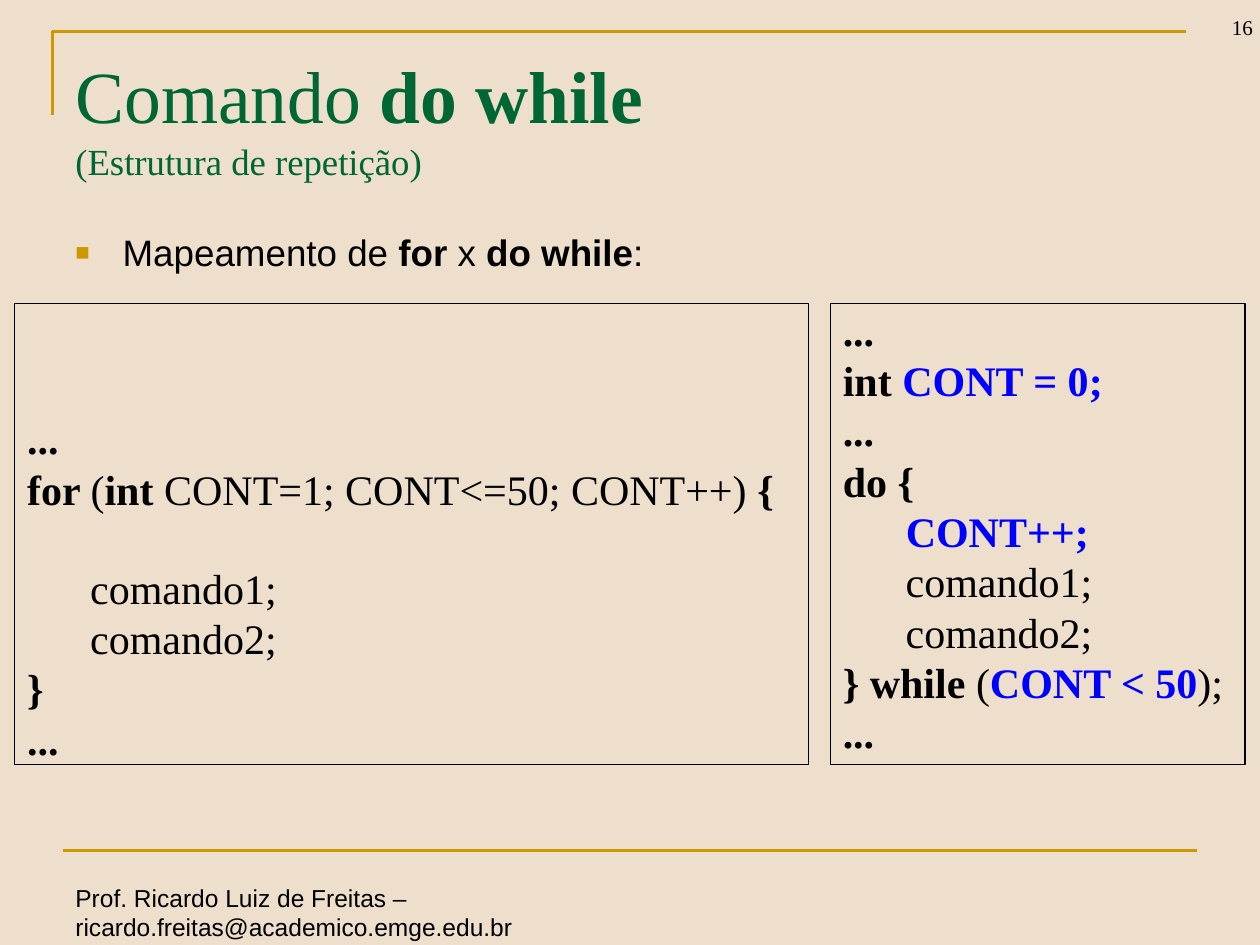
"""Build a slide that maps a for loop to a do while loop."""
from collections import namedtuple
from lxml.etree import SubElement
from pptx import Presentation
from pptx.dml.color import RGBColor
from pptx.enum.shapes import MSO_CONNECTOR, MSO_SHAPE
from pptx.enum.text import MSO_ANCHOR, PP_ALIGN
from pptx.oxml.ns import qn
from pptx.util import Pt

SAND = RGBColor(0xEE, 0xDF, 0xCC)
GOLD = RGBColor(0xCC, 0x99, 0x00)
GREEN = RGBColor(0x00, 0x66, 0x33)
BLACK = RGBColor(0x00, 0x00, 0x00)
BLUE = RGBColor(0x00, 0x00, 0xFF)
SERIF, SANS = "Times New Roman", "Arial"
CODE_SIZE, CODE_GAP, CODE_PITCH = 24, 5.7, 27.8

Piece = namedtuple("Piece", "text bold color size", defaults=(False, None, None))


def bold(text, color=None):
    return Piece(text, True, color)


class SlideBuilder:
    def __init__(self, slide):
        self.shapes = slide.shapes
        slide.background.fill.solid()
        slide.background.fill.fore_color.rgb = SAND

    def add_runs(self, paragraph, pieces, size, font, color):
        paragraph.font.name = font
        paragraph.font.size = Pt(size)
        paragraph.font.color.rgb = color
        for piece in pieces:
            if piece == "\n":
                paragraph.add_line_break()
                continue
            if isinstance(piece, str):
                piece = Piece(piece)
            run = paragraph.add_run()
            run.text = piece.text
            run.font.bold = piece.bold
            if piece.color is not None:
                run.font.color.rgb = piece.color
            if piece.size is not None:
                run.font.size = Pt(piece.size)

    def text(self, box, pieces, size, font, color=BLACK, anchor=MSO_ANCHOR.TOP,
             align=PP_ALIGN.LEFT, bullet=None):
        frame = self.shapes.add_textbox(*map(Pt, box)).text_frame
        frame.word_wrap = True
        frame.vertical_anchor = anchor
        paragraph = frame.paragraphs[0]
        paragraph.alignment = align
        if bullet:
            self.bullet(paragraph, bullet)
        self.add_runs(paragraph, pieces, size, font, color)

    def bullet(self, paragraph, symbol):
        properties = paragraph._p.get_or_add_pPr()
        properties.set("marL", str(Pt(27)))
        properties.set("indent", str(-Pt(27)))
        bullet_color = SubElement(properties, qn("a:buClr"))
        SubElement(bullet_color, qn("a:srgbClr"), val=str(GOLD))
        SubElement(properties, qn("a:buSzPct"), val="65000")
        SubElement(properties, qn("a:buFont"), typeface=SANS)
        SubElement(properties, qn("a:buChar"), char=symbol)

    def rule(self, start, end):
        line = self.shapes.add_connector(MSO_CONNECTOR.STRAIGHT, *map(Pt, start + end))
        line.line.color.rgb = GOLD
        line.line.width = Pt(1.5)
        SubElement(line._element.spPr, qn("a:effectLst"))

    def corner(self, *points):
        start, *rest = [(Pt(x), Pt(y)) for x, y in points]
        outline = self.shapes.build_freeform(*start)
        outline.add_line_segments(rest, close=False)
        bracket = outline.convert_to_shape()
        bracket.shadow.inherit = False
        bracket.fill.background()
        bracket.line.color.rgb = GOLD
        bracket.line.width = Pt(1.5)

    def code(self, left, width, top_margin, lines, skip_before=None):
        panel = self.shapes.add_shape(
            MSO_SHAPE.RECTANGLE, Pt(left), Pt(173.5), Pt(width), Pt(263.5))
        panel.shadow.inherit = False
        panel.fill.background()
        panel.line.color.rgb = BLACK
        panel.line.width = Pt(0.75)
        frame = panel.text_frame
        frame.word_wrap = True
        frame.vertical_anchor = MSO_ANCHOR.TOP
        frame.margin_top, frame.margin_bottom = Pt(top_margin), Pt(0)
        for index, pieces in enumerate(lines):
            paragraph = frame.add_paragraph() if index else frame.paragraphs[0]
            paragraph.alignment = PP_ALIGN.LEFT
            paragraph.line_spacing = 0.8
            if index:
                skipped = CODE_PITCH if index == skip_before else 0
                paragraph.space_before = Pt(CODE_GAP + skipped)
            self.add_runs(paragraph, pieces, CODE_SIZE, SERIF, BLACK)


def main():
    deck = Presentation()
    deck.slide_width, deck.slide_height = Pt(720), Pt(540)
    page = SlideBuilder(deck.slides.add_slide(deck.slide_layouts[6]))

    page.corner((30, 66), (30, 18), (678, 18))
    page.rule((36, 486), (684, 486))
    page.text((36, 501, 455, 40),
              ["Prof. Ricardo Luiz de Freitas – ricardo.freitas@academico.emge.edu.br"],
              14, SANS)
    page.text((669, -10, 54, 36), ["16"], 12, SERIF,
              anchor=MSO_ANCHOR.BOTTOM, align=PP_ALIGN.RIGHT)
    page.text((36, 21.5, 648, 90),
              ["Comando ", bold("do while"), "\n",
               Piece("(Estrutura de repetição)", size=21)],
              42, SERIF, GREEN, anchor=MSO_ANCHOR.MIDDLE)
    page.text((36, 128, 648, 52),
              ["Mapeamento de ", bold("for "), "x ", bold("do while"), ":"],
              21, SANS, bullet="■")

    ellipsis = [bold("...")]
    commands = [["      comando1;"], ["      comando2;"]]
    page.code(8.5, 453.5, 68, [
        ellipsis,
        [bold("for "), "(", bold("int "), "CONT=1; CONT<=50; CONT++) ", bold("{")],
        *commands,
        [bold("}")],
        ellipsis,
    ], skip_before=2)
    page.code(474.5, 237, 6, [
        ellipsis,
        [bold("int "), bold("CONT = 0;", BLUE)],
        ellipsis,
        [bold("do {")],
        ["      ", bold("CONT++;", BLUE)],
        *commands,
        [bold("} while "), "(", bold("CONT < 50", BLUE), ");"],
        ellipsis,
    ])
    deck.save("out.pptx")


if __name__ == "__main__":
    main()
